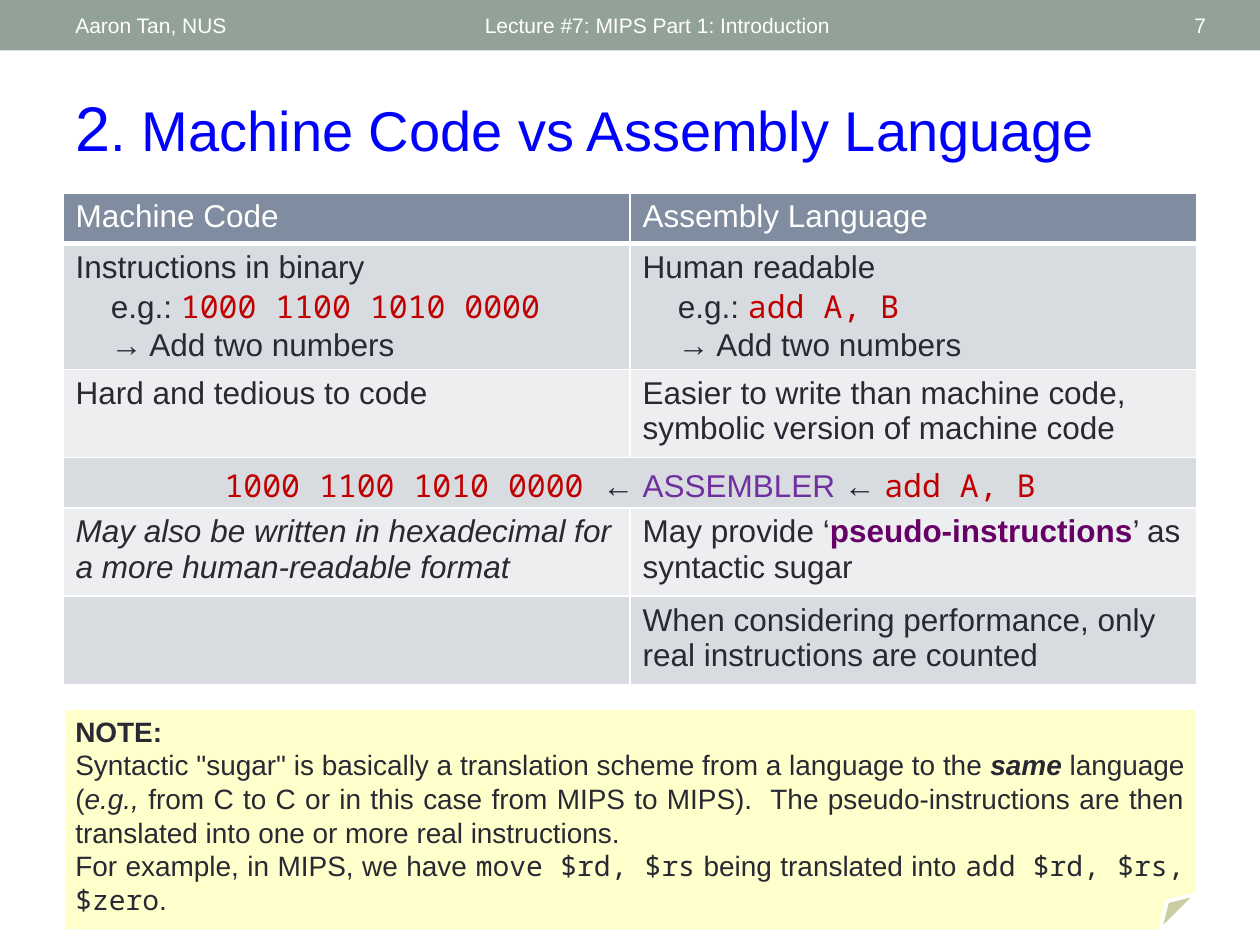
from lxml import etree
from pptx import Presentation
from pptx.dml.color import RGBColor
from pptx.enum.shapes import MSO_SHAPE
from pptx.enum.text import MSO_ANCHOR, PP_ALIGN
from pptx.oxml.ns import qn
from pptx.util import Inches, Pt

RECT, FOLD = MSO_SHAPE.RECTANGLE, MSO_SHAPE.FOLDED_CORNER
TOP, MIDDLE, BOTTOM = MSO_ANCHOR.TOP, MSO_ANCHOR.MIDDLE, MSO_ANCHOR.BOTTOM
LEFT, CENTER, RIGHT, JUST = PP_ALIGN.LEFT, PP_ALIGN.CENTER, PP_ALIGN.RIGHT, PP_ALIGN.JUSTIFY

COLORS = {
    "bar": "93A299", "white": "FFFFFF", "title": "0000FF", "ink": "292934",
    "head": "808DA0", "dark": "D8DBDF", "light": "EDEEF0", "code": "C00000",
    "tool": "7030A0", "term": "660066", "note": "FFFFCC",
}
SANS, MONO = "Arial", "Noto Sans Mono"
CODE = {"face": MONO, "color": "code"}
MONOSPACE = {"face": MONO}
BITS, ADD = "1000 1100 1010 0000", "add A, B"
STEP = Inches(0.28)


def rgb(name):
    return RGBColor.from_string(COLORS[name])


def add_run(para, text, size, color="ink", face=SANS, bold=False, italic=False):
    for i, line in enumerate(text.split("\n")):
        if i:
            para.add_line_break()
        run = para.add_run()
        run.text = line
        font = run.font
        font.size, font.name, font.bold, font.italic = Pt(size), face, bold, italic
        font.color.rgb = rgb(color)


def write(frame, paras, size, color="ink"):
    for i, (runs, align, indent) in enumerate(paras):
        para = frame.paragraphs[0] if i == 0 else frame.add_paragraph()
        para.alignment = align
        if indent:
            para._p.get_or_add_pPr().set("marL", str(indent))
        for text, style in runs:
            add_run(para, text, size, **{"color": color, **style})


def line(text, align=LEFT, indent=0, **style):
    return [(text, style)], align, indent


def add_block(slide, kind, box, fill):
    block = slide.shapes.add_shape(kind, *map(Inches, box))
    block.shadow.inherit = False
    block.fill.solid()
    block.fill.fore_color.rgb = rgb(fill)
    block.line.fill.background()
    return block


def add_label(slide, left, width, text, align=LEFT):
    box = slide.shapes.add_textbox(Inches(left), Inches(0.02), Inches(width), Inches(0.36))
    frame = box.text_frame
    frame.word_wrap = True
    frame.vertical_anchor = MIDDLE
    write(frame, [line(text, align)], 12, "white")


def add_title(slide):
    title = slide.shapes.title
    title.left, title.top, title.width, title.height = map(Inches, (0.5, 0.64, 9, 0.71))
    frame = title.text_frame
    frame.vertical_anchor = BOTTOM
    para = frame.paragraphs[0]
    para.alignment = LEFT
    add_run(para, "2", 36, "title")
    add_run(para, ". Machine Code vs Assembly Language", 32, "title")


def set_edges(cell, head):
    props = cell._tc.get_or_add_tcPr()
    for side in ("L", "R", "T", "B"):
        width = Pt(3) if head and side == "B" else Pt(1)
        edge = etree.SubElement(props, qn(f"a:ln{side}"), w=str(width))
        fill = etree.SubElement(edge, qn("a:solidFill"))
        etree.SubElement(fill, qn("a:srgbClr"), val=COLORS["white"])


def sample(intro, code):
    return [
        line(intro),
        ([("e.g.: ", {}), (code, CODE)], LEFT, STEP),
        line("→ Add two numbers", indent=STEP),
    ]


def add_grid(slide):
    chain = [
        (BITS + " ", CODE), ("← ", {}), ("ASSEMBLER", {"color": "tool"}),
        (" ← ", {}), (ADD, CODE),
    ]
    pseudo = [
        ("May provide ‘", {}), ("pseudo-instructions", {"color": "term", "bold": True}),
        ("’ as syntactic sugar", {}),
    ]
    rows = [
        (0.4, [line("Machine Code")], [line("Assembly Language")]),
        (1, sample("Instructions in binary", BITS), sample("Human readable", ADD)),
        (0.7, [line("Hard and tedious to code")],
         [line("Easier to write than machine code,\nsymbolic version of machine code")]),
        (0.4, [(chain, CENTER, 0)], []),
        (0.7, [line("May also be written in hexadecimal for a more human-readable format",
                    italic=True)], [(pseudo, LEFT, 0)]),
        (0.7, [], [line("When considering performance, only real instructions are counted")]),
    ]
    height = sum(row[0] for row in rows)
    box = map(Inches, (0.5, 1.53, 9, height))
    table = slide.shapes.add_table(len(rows), 2, *box).table
    table.cell(3, 0).merge(table.cell(3, 1))
    for r, (height, *cells) in enumerate(rows):
        table.rows[r].height = Inches(height)
        back = "dark" if r % 2 else "light"
        for c, paras in enumerate(cells):
            cell = table.cell(r, c)
            set_edges(cell, r == 0)
            cell.fill.solid()
            cell.fill.fore_color.rgb = rgb(back if r else "head")
            write(cell.text_frame, paras, 18, "ink" if r else "white")


def add_note(slide):
    note = add_block(slide, FOLD, (0.5, 5.62, 9, 1.77), "note")
    note.line.color.rgb = rgb("white")
    note.line.width = Pt(2.08)
    frame = note.text_frame
    frame.word_wrap = True
    frame.vertical_anchor = TOP
    sugar = [
        ('Syntactic "sugar" is basically a translation scheme from a language to the ', {}),
        ("same", {"bold": True, "italic": True}), (" language (", {}),
        ("e.g.,", {"italic": True}),
        (" from C to C or in this case from MIPS to MIPS).  The pseudo-instructions are "
         "then translated into one or more real instructions.", {}),
    ]
    move = [
        ("For example, in MIPS, we have ", {}), ("move $rd, $rs", MONOSPACE),
        (" being translated into ", {}), ("add $rd, $rs, $zero", MONOSPACE), (".", {}),
    ]
    write(frame, [line("NOTE:", bold=True), (sugar, JUST, 0), (move, JUST, 0)], 16)


def main():
    deck = Presentation()
    deck.slide_width, deck.slide_height = Inches(10), Inches(7.5)
    slide = deck.slides.add_slide(deck.slide_layouts[5])
    add_block(slide, RECT, (0, 0, 10, 0.4), "bar")
    add_label(slide, 3.75, 4.5, "Lecture #7: MIPS Part 1: Introduction")
    add_label(slide, 0.5, 3.17, "Aaron Tan, NUS")
    add_label(slide, 8.72, 0.95, "7", RIGHT)
    add_title(slide)
    add_grid(slide)
    add_note(slide)
    deck.save("out.pptx")


if __name__ == "__main__":
    main()
